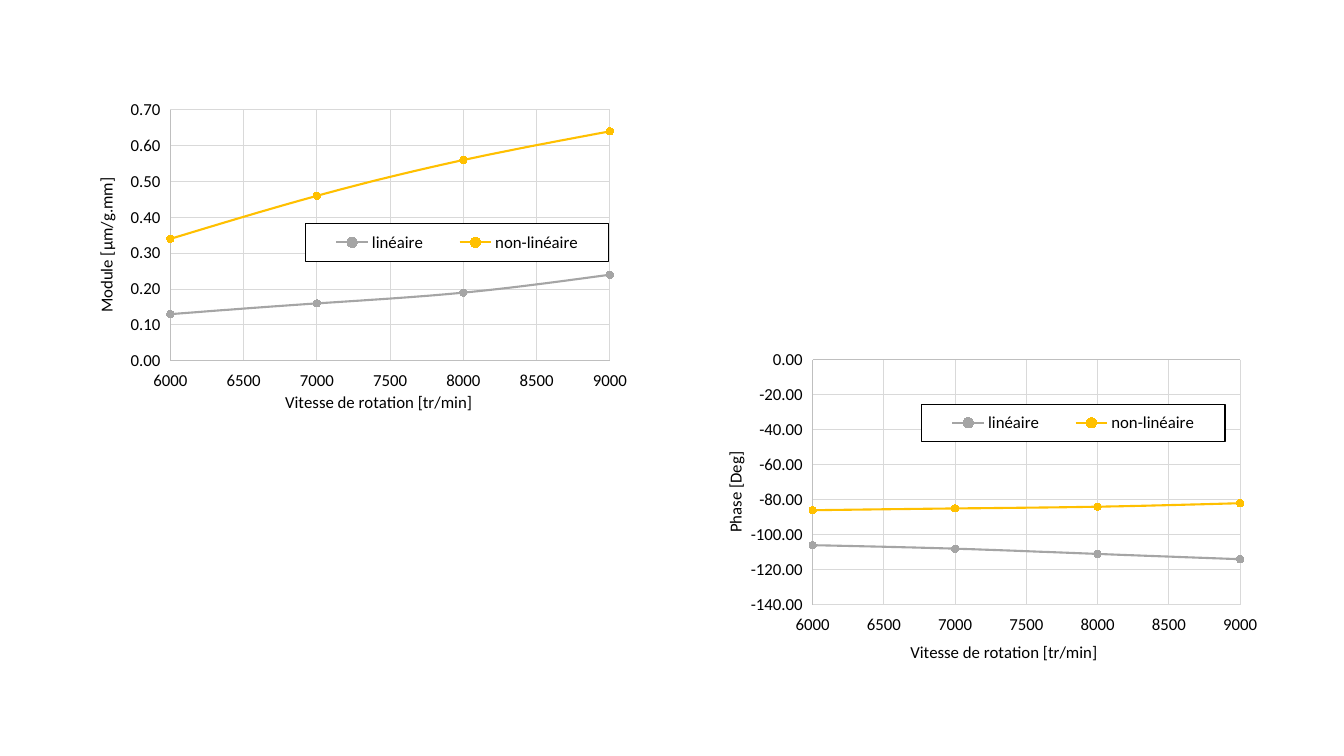
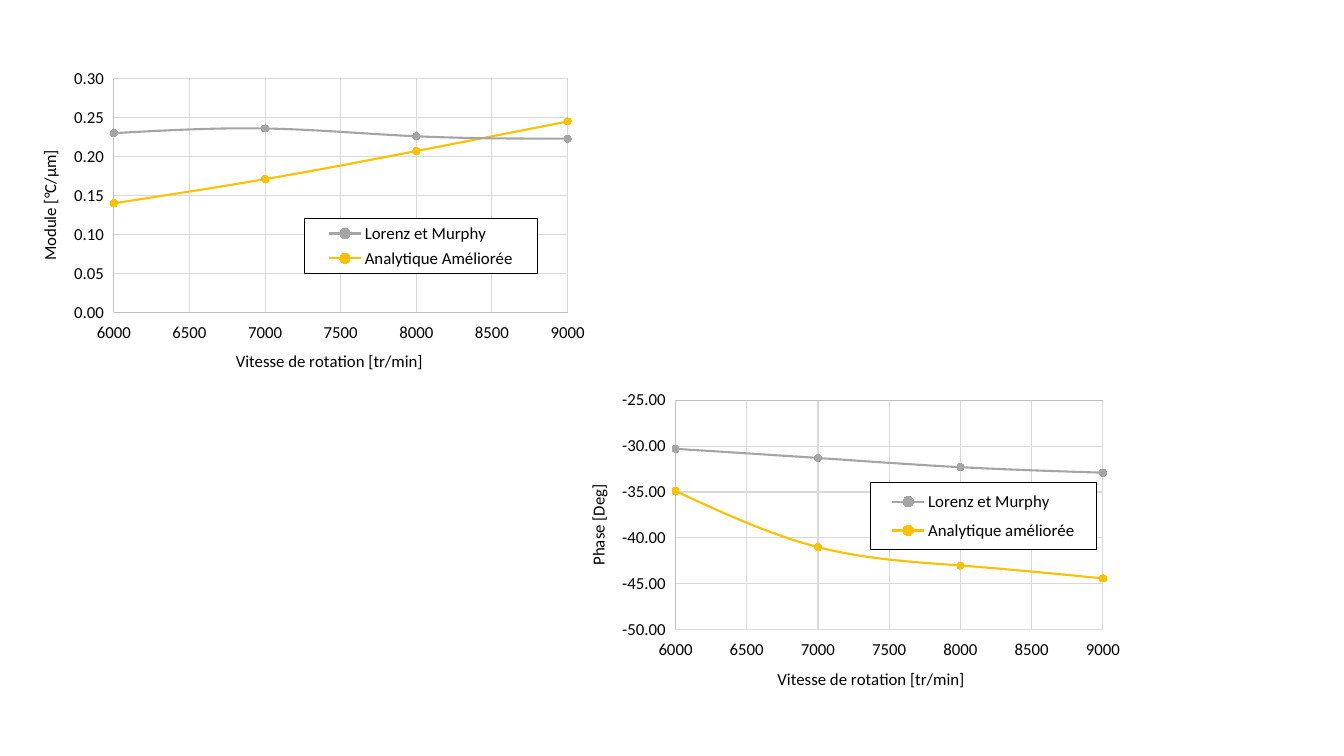
from dataclasses import dataclass

import lxml.etree
import pptx
import pptx.chart.axis
import pptx.chart.chart
import pptx.chart.data
import pptx.dml.color
import pptx.dml.line
import pptx.enum.chart
import pptx.oxml
import pptx.oxml.ns
import pptx.slide
import pptx.util
from pptx.util import Inches

FONT = "Calibri"
BLACK, WHITE = "000000", "FFFFFF"
AXIS_COLOR, GRID_COLOR = "BFBFBF", "D9D9D9"
SERIES_COLORS = ("A5A5A5", "FFC000")
SPEEDS = (6000, 7000, 8000, 9000)
SPEED_TITLE = "Vitesse de rotation [tr/min]"
CHART_WIDTH, CHART_HEIGHT = 5.51, 3.15


@dataclass(frozen=True)
class Box:
    """Position and size on the slide, in inches."""

    left: float
    top: float
    width: float
    height: float


@dataclass(frozen=True)
class Scale:
    minimum: float
    maximum: float
    step: float


@dataclass(frozen=True)
class SpeedChart:
    left: float
    top: float
    plot: Box
    legend: Box
    value_title: str
    value_scale: Scale
    series: dict[str, tuple[float, ...]]


SPEED_SCALE = Scale(6000, 9000, 500)

SLIDES = (
    (
        SpeedChart(
            0.91, 0.99, Box(1.69, 1.09, 4.36, 2.49), Box(3.03, 2.22, 3.01, 0.37),
            "Module [µm/g.mm]", Scale(0, 0.7, 0.1),
            {"linéaire": (0.13, 0.16, 0.19, 0.24),
             "non-linéaire": (0.34, 0.46, 0.56, 0.64)},
        ),
        SpeedChart(
            7.15, 3.47, Box(8.06, 3.57, 4.24, 2.43), Box(9.14, 4.01, 3.01, 0.37),
            "Phase [Deg]", Scale(-140, 0, 20),
            {"linéaire": (-106, -108, -111, -114),
             "non-linéaire": (-86, -85, -84, -82)},
        ),
    ),
    (
        SpeedChart(
            0.35, 0.59, Box(1.13, 0.78, 4.5, 2.32), Box(3.02, 2.17, 2.31, 0.54),
            "Module [°C/µm]", Scale(0, 0.3, 0.05),
            {"Lorenz et Murphy": (0.23, 0.236, 0.226, 0.223),
             "Analytique Améliorée": (0.14, 0.171, 0.207, 0.245)},
        ),
        SpeedChart(
            5.79, 3.74, Box(6.7, 3.97, 4.24, 2.28), Box(8.63, 4.79, 2.25, 0.66),
            "Phase [Deg]", Scale(-50, -25, 5),
            {"Lorenz et Murphy": (-30.3, -31.3, -32.3, -32.9),
             "Analytique améliorée": (-34.9, -41, -43, -44.4)},
        ),
    ),
)


def rgb(color: str) -> pptx.dml.color.RGBColor:
    return pptx.dml.color.RGBColor.from_string(color)


def format_font(font, bold: bool = False) -> None:
    font.name = FONT
    font.size = pptx.util.Pt(12)
    font.bold = bold
    font.color.rgb = rgb(BLACK)


def format_line(line: pptx.dml.line.LineFormat, color: str, width: float = 0.75) -> None:
    line.color.rgb = rgb(color)
    line.width = pptx.util.Pt(width)


def manual_layout(spec: SpeedChart, box: Box, inner: bool = False) -> lxml.etree._Element:
    """Express a box on the slide as fractions of the chart."""
    settings = [("layoutTarget", "inner")] if inner else []
    settings += [("xMode", "edge"), ("yMode", "edge")]
    settings += [
        ("x", (box.left - spec.left) / CHART_WIDTH),
        ("y", (box.top - spec.top) / CHART_HEIGHT),
        ("w", box.width / CHART_WIDTH),
        ("h", box.height / CHART_HEIGHT),
    ]
    layout = lxml.etree.Element(pptx.oxml.ns.qn("c:layout"))
    manual = lxml.etree.SubElement(layout, pptx.oxml.ns.qn("c:manualLayout"))
    for name, value in settings:
        lxml.etree.SubElement(manual, pptx.oxml.ns.qn(f"c:{name}"), val=str(value))
    return layout


def format_axis(axis: pptx.chart.axis.ValueAxis, title: str, scale: Scale,
                number_format: str, rotation: int = 0) -> None:
    axis.minimum_scale, axis.maximum_scale = scale.minimum, scale.maximum
    axis.major_unit = scale.step
    axis.major_tick_mark = axis.minor_tick_mark = pptx.enum.chart.XL_TICK_MARK.NONE
    axis.tick_label_position = pptx.enum.chart.XL_TICK_LABEL_POSITION.LOW
    axis.has_major_gridlines = True
    format_line(axis.major_gridlines.format.line, GRID_COLOR)
    format_line(axis.format.line, AXIS_COLOR)
    axis.tick_labels.number_format = number_format
    axis.tick_labels.number_format_is_linked = False
    format_font(axis.tick_labels.font)
    text_frame = axis.axis_title.text_frame
    text_frame.text = title
    format_font(text_frame.paragraphs[0].runs[0].font)
    body = axis.axis_title.element.xpath("c:tx/c:rich/a:bodyPr")[0]
    body.set("rot", str(rotation))
    body.set("vert", "horz")


def format_series(series, color: str) -> None:
    format_line(series.format.line, color, 1.5)
    marker = series.marker
    marker.style = pptx.enum.chart.XL_MARKER_STYLE.CIRCLE
    marker.size = 5
    marker.format.fill.solid()
    marker.format.fill.fore_color.rgb = rgb(color)
    format_line(marker.format.line, color)
    for smooth in series._element.xpath("c:smooth"):
        smooth.set("val", "1")


def add_legend(chart: pptx.chart.chart.Chart, spec: SpeedChart) -> None:
    """Place a framed white legend over the plot."""
    chart.has_legend = True
    legend = chart.legend
    legend.position = pptx.enum.chart.XL_LEGEND_POSITION.RIGHT
    legend.include_in_layout = False
    format_font(legend.font)
    element = chart.element.xpath("c:chart/c:legend")[0]
    for old_layout in element.xpath("c:layout"):
        element.remove(old_layout)
    element.xpath("c:legendPos")[0].addnext(manual_layout(spec, spec.legend))
    frame = pptx.oxml.parse_xml(
        f'<c:spPr {pptx.oxml.ns.nsdecls("c", "a")}>'
        f'<a:solidFill><a:srgbClr val="{WHITE}"/></a:solidFill>'
        f'<a:ln w="{pptx.util.Pt(0.75)}"><a:solidFill><a:srgbClr val="{BLACK}"/>'
        "</a:solidFill></a:ln></c:spPr>"
    )
    element.xpath("c:txPr")[0].addprevious(frame)


def add_speed_chart(slide: pptx.slide.Slide, spec: SpeedChart) -> None:
    data = pptx.chart.data.XyChartData()
    for name, values in spec.series.items():
        series = data.add_series(name)
        for speed, value in zip(SPEEDS, values):
            series.add_data_point(speed, value)
    chart = slide.shapes.add_chart(
        pptx.enum.chart.XL_CHART_TYPE.XY_SCATTER_SMOOTH,
        Inches(spec.left), Inches(spec.top),
        Inches(CHART_WIDTH), Inches(CHART_HEIGHT), data,
    ).chart
    chart.has_title = False
    format_font(chart.font)
    plot = chart.plots[0]
    plot.vary_by_categories = False
    for series, color in zip(plot.series, SERIES_COLORS):
        format_series(series, color)
    format_axis(chart.category_axis, SPEED_TITLE, SPEED_SCALE, "General")
    format_axis(chart.value_axis, spec.value_title, spec.value_scale, "0.00", -5400000)
    plot_area = chart.element.xpath("c:chart/c:plotArea")[0]
    for old_layout in plot_area.xpath("c:layout"):
        plot_area.remove(old_layout)
    plot_area.insert(0, manual_layout(spec, spec.plot, inner=True))
    add_legend(chart, spec)


def main() -> None:
    presentation = pptx.Presentation()
    presentation.slide_width = Inches(13.33)
    presentation.slide_height = Inches(7.5)
    blank_layout = presentation.slide_layouts[6]
    for charts in SLIDES:
        slide = presentation.slides.add_slide(blank_layout)
        for spec in charts:
            add_speed_chart(slide, spec)
    presentation.save("out.pptx")


if __name__ == "__main__":
    main()
